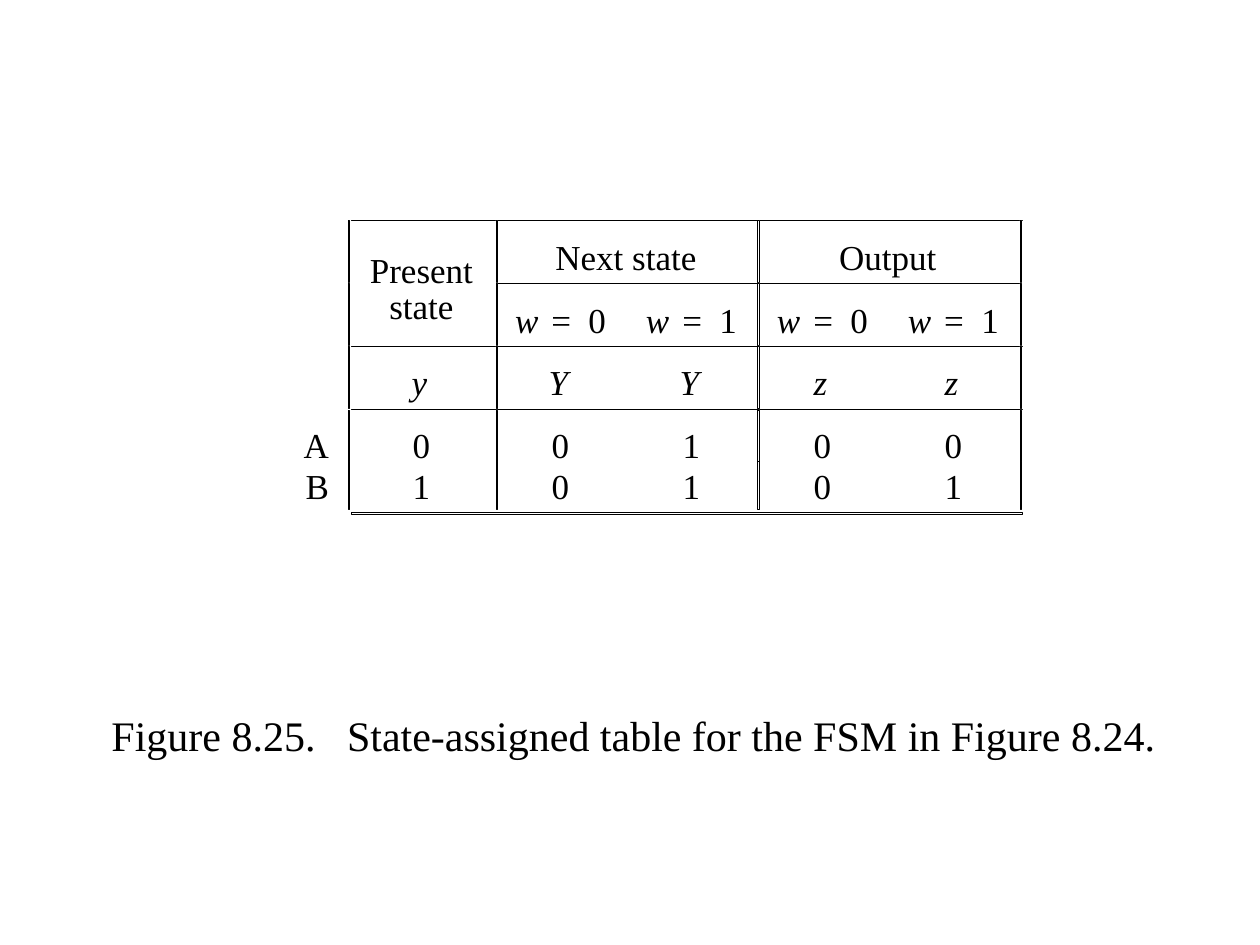
from dataclasses import dataclass
from itertools import product

from pptx import Presentation
from pptx.dml.color import RGBColor
from pptx.enum.shapes import MSO_SHAPE
from pptx.enum.text import MSO_ANCHOR, MSO_AUTO_SIZE, PP_ALIGN
from pptx.util import Emu, Pt

FONT = "Times New Roman"
INK = "000000"
PAPER = "FFFFFF"
NO_STYLE = "{2D5ABB26-0587-4C30-8999-92F81FD0307C}"
LEFT, TOP = 295, 228
COLUMNS = [54, 147, 131, 131, 131, 131]


@dataclass
class Row:
    height: int
    texts: list[str]
    bottom: int
    right: int = 2
    italic: bool = False


@dataclass
class Rule:
    x: int
    y: int
    w: int
    h: int


ROWS = [
    Row(50, ["", "Present\nstate", "Next state", "", "Output", ""], 0),
    Row(76, ["", "", "w = 0", "w = 1", "w = 0", "w = 1"], 13),
    Row(56, ["", "y", "Y", "Y", "z", "z"], 7, right=6, italic=True),
    Row(56, ["A", "0", "0", "1", "0", "0"], 0),
    Row(48, ["B", "1", "0", "1", "0", "1"], 7),
]
HORIZONTAL = [
    Rule(351, 220, 671, 1),
    Rule(496, 283, 526, 1),
    Rule(351, 346, 671, 1),
    Rule(351, 409, 671, 1),
    Rule(351, 513, 671, 2),
]
SEGMENTS = [(220, 63), (283, 63), (346, 63), (410, 56), (462, 48)]
VERTICAL = [Rule(x, y, w, h) for (y, h), (x, w)
            in product(SEGMENTS, [(349, 1), (496, 2), (758, 2), (1020, 2)])]


def px(n: int) -> Emu:
    return Emu(round(n * 914400 / 126))


def color(value: str) -> RGBColor:
    return RGBColor.from_string(value)


def style_run(r, size: int, italic: bool = False) -> None:
    r.font.name = FONT
    r.font.size = Pt(size)
    r.font.bold = False
    r.font.italic = italic
    r.font.color.rgb = color(INK)


def write_condition(p, text: str) -> None:
    for part in (text[0], text[1:-1], text[-1]):
        r = p.add_run()
        r.text = part
        style_run(r, 20, part == "w")
        if "=" in part:
            r.font._element.set("spc", "240")


def fill_cell(cell, text: str, row: Row, is_label: bool) -> None:
    is_tall = "\n" in text
    cell.fill.background()
    cell.vertical_anchor = MSO_ANCHOR.MIDDLE if is_tall else MSO_ANCHOR.BOTTOM
    cell.margin_left = cell.margin_top = 0
    cell.margin_right = px(20 if is_label else row.right)
    cell.margin_bottom = px(row.bottom)
    tf = cell.text_frame
    if "=" in text:
        write_condition(tf.paragraphs[0], text)
    else:
        tf.text = text
    for p in tf.paragraphs:
        p.alignment = PP_ALIGN.RIGHT if is_label else PP_ALIGN.CENTER
        if is_tall:
            p.line_spacing = 0.93
        if "=" not in text:
            for r in p.runs:
                style_run(r, 20, row.italic)


def add_state_table(s) -> None:
    frame = s.shapes.add_table(len(ROWS), len(COLUMNS), px(LEFT), px(TOP),
                               px(sum(COLUMNS)), px(sum(r.height for r in ROWS)))
    table = frame.table
    table.first_row = table.horz_banding = False
    table._tbl.tblPr[0].text = NO_STYLE
    for column, width in zip(table.columns, COLUMNS):
        column.width = px(width)
    for i, row in enumerate(ROWS):
        table.rows[i].height = px(row.height)
        for j, text in enumerate(row.texts):
            fill_cell(table.cell(i, j), text, row, j == 0)
    for start, end in [((0, 1), (1, 1)), ((0, 2), (0, 3)), ((0, 4), (0, 5))]:
        table.cell(*start).merge(table.cell(*end))


def add_rule(s, rule: Rule) -> None:
    sp = s.shapes.add_shape(MSO_SHAPE.RECTANGLE, px(rule.x), px(rule.y),
                            px(rule.w), px(rule.h))
    sp.shadow.inherit = False
    sp.fill.solid()
    sp.fill.fore_color.rgb = color(PAPER)
    sp.line.color.rgb = color(INK)
    sp.line.width = Pt(0.5)


def add_caption(s, text: str) -> None:
    sp = s.shapes.title
    sp.left, sp.top, sp.width, sp.height = px(77), px(699), px(1113), px(72)
    tf = sp.text_frame
    tf.text = text
    tf.word_wrap = True
    tf.auto_size = MSO_AUTO_SIZE.NONE
    tf.vertical_anchor = MSO_ANCHOR.MIDDLE
    p = tf.paragraphs[0]
    p.alignment = PP_ALIGN.CENTER
    style_run(p.runs[0], 24)


def main() -> None:
    prs = Presentation()
    prs.slide_width, prs.slide_height = px(1260), px(945)
    s = prs.slides.add_slide(prs.slide_layouts[5])
    add_caption(s, "Figure 8.25.   State-assigned table for the FSM in Figure 8.24.")
    add_state_table(s)
    for rule in HORIZONTAL + VERTICAL:
        add_rule(s, rule)
    prs.save("out.pptx")


if __name__ == "__main__":
    main()
